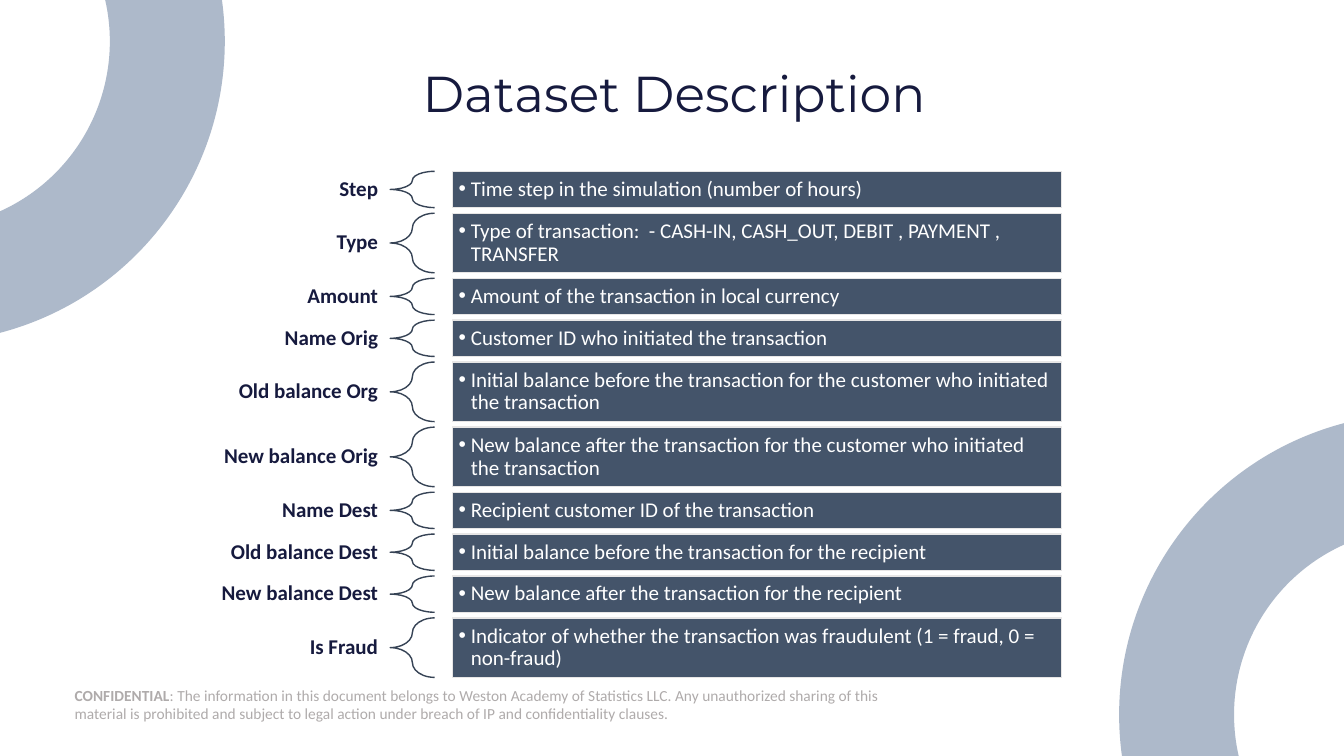
from dataclasses import dataclass
from math import acos, asin, cos, sin, tan

from lxml import etree
from pptx import Presentation
from pptx.dml.color import RGBColor
from pptx.enum.shapes import MSO_SHAPE
from pptx.enum.text import MSO_ANCHOR, MSO_AUTO_SIZE, PP_ALIGN
from pptx.oxml.ns import qn
from pptx.util import Inches, Pt

RECTANGLE, BRACE = MSO_SHAPE.RECTANGLE, MSO_SHAPE.LEFT_BRACE
MIDDLE, NO_FIT = MSO_ANCHOR.MIDDLE, MSO_AUTO_SIZE.NONE
LEFT, CENTER, RIGHT = PP_ALIGN.LEFT, PP_ALIGN.CENTER, PP_ALIGN.RIGHT
TITLE_ONLY = 5
WIDTH, HEIGHT = 13.33, 7.5


@dataclass(frozen=True)
class Theme:
    """Colours, fonts and type sizes of the deck."""
    navy: str = "161A3E"
    slate: str = "44546A"
    brace: str = "364355"
    ring: str = "ADB9CA"
    border: str = "E7E6E6"
    muted: str = "AFABAB"
    white: str = "FFFFFF"
    heading_font: str = "Montserrat"
    body_font: str = "Calibri"
    bullet_font: str = "Arial"
    title_size: int = 36
    row_size: int = 15
    footer_size: int = 11


THEME = Theme()
FIELDS = [
    ("Step", "Time step in the simulation (number of hours)", 1),
    ("Type", "Type of transaction:  - CASH-IN, CASH_OUT, DEBIT , PAYMENT , TRANSFER", 2),
    ("Amount", "Amount of the transaction in local currency", 1),
    ("Name Orig", "Customer ID who initiated the transaction", 1),
    ("Old balance Org", "Initial balance before the transaction for the customer "
     "who initiated the transaction", 2),
    ("New balance Orig", "New balance after the transaction for the customer "
     "who initiated the transaction", 2),
    ("Name Dest", "Recipient customer ID of the transaction", 1),
    ("Old balance Dest", "Initial balance before the transaction for the recipient", 1),
    ("New balance Dest", "New balance after the transaction for the recipient", 1),
    ("Is Fraud", "Indicator of whether the transaction was fraudulent "
     "(1 = fraud, 0 = non-fraud)", 2),
]
ROW_HEIGHTS = {1: 0.36, 2: 0.59}
CONFIDENTIAL = [
    ("CONFIDENTIAL", True),
    (": The information in this document belongs to Weston Academy of Statistics LLC. "
     "Any unauthorized sharing of this material is prohibited and subject to legal action "
     "under breach of IP and confidentiality clauses.", False),
]


def apply_format(target, values):
    """Set each attribute of the target from a dict of values."""
    for name, value in values.items():
        setattr(target, name, value)


def paint(shape, fill=None, line=None):
    """Give a shape a flat fill and a thin line, or none."""
    shape.shadow.inherit = False
    if fill:
        shape.fill.solid()
        shape.fill.fore_color.rgb = RGBColor.from_string(fill)
    else:
        shape.fill.background()
    if line:
        shape.line.color.rgb = RGBColor.from_string(line)
        shape.line.width = Pt(1)
    else:
        shape.line.fill.background()


def write(shape, spans, size, color, font=THEME.body_font, align=LEFT,
          spacing=1.0, margins=(0, 0)):
    """Write (text, bold) spans as the one paragraph of a shape."""
    across, down = map(Inches, margins)
    frame = shape.text_frame
    apply_format(frame, {
        "word_wrap": True, "auto_size": NO_FIT, "vertical_anchor": MIDDLE,
        "margin_left": across, "margin_right": across,
        "margin_top": down, "margin_bottom": down})
    para = frame.paragraphs[0]
    apply_format(para, {"alignment": align, "line_spacing": spacing})
    for text, bold in spans:
        span = para.add_run()
        span.text = text
        apply_format(span.font, {"name": font, "size": Pt(size), "bold": bold})
        span.font.color.rgb = RGBColor.from_string(color)
    return para


def add_bullet(para, indent):
    """Give a paragraph a round bullet with a hanging indent."""
    para.level = 1
    properties = para._p.get_or_add_pPr()
    properties.set("marL", str(Inches(indent)))
    properties.set("indent", str(-Inches(indent)))
    etree.SubElement(properties, qn("a:buFont")).set("typeface", THEME.bullet_font)
    etree.SubElement(properties, qn("a:buChar")).set("char", "•")


def bend(shape, starts):
    """Turn the three lines from each start index into one curve."""
    lines = list(shape._element.iter(qn("a:lnTo")))
    for start in starts:
        curve = etree.Element(qn("a:cubicBezTo"))
        lines[start].addprevious(curve)
        for line in lines[start:start + 3]:
            curve.append(line[0])
            line.getparent().remove(line)


def add_ring(page, center_x, center_y, edge_x, edge_y, facing):
    """Draw a ring cut off by the two slide edges at its corner."""

    def arc(radius):
        start = -asin(abs(edge_y - center_y) / radius)
        end = acos(abs(edge_x - center_x) / radius)
        places = [(cos(start), sin(start))]
        for first, last in ((start, 0), (0, end)):
            pull = 4 / 3 * tan((last - first) / 4)
            places += [(cos(first) - pull * sin(first), sin(first) + pull * cos(first)),
                       (cos(last) + pull * sin(last), sin(last) - pull * cos(last)),
                       (cos(last), sin(last))]
        return [(Inches(center_x + facing * radius * across),
                 Inches(center_y + facing * radius * down)) for across, down in places]

    points = arc(2.99) + arc(1.85)[::-1]
    builder = page.shapes.build_freeform(*points[0])
    builder.add_line_segments(points[1:], close=True)
    ring = builder.convert_to_shape()
    bend(ring, (0, 3, 7, 10))
    paint(ring, THEME.ring)


def add_title(page, left, top, width, height):
    """Place and fill the title placeholder."""
    title = page.shapes.title
    apply_format(title, {"left": Inches(left), "top": Inches(top),
                         "width": Inches(width), "height": Inches(height)})
    write(title, [("Dataset Description", False)], THEME.title_size, THEME.navy,
          THEME.heading_font, CENTER, margins=(0.1, 0.05))


def add_footer(page, left, top, width, height):
    """Place the confidentiality notice."""
    box = page.shapes.add_shape(RECTANGLE, *map(Inches, (left, top, width, height)))
    paint(box, THEME.white)
    write(box, CONFIDENTIAL, THEME.footer_size, THEME.muted)


def add_field(page, left, top, width, height, name, description):
    """Place one row: a field name, a brace and its description."""
    label_width, label_height, brace_width, gap = 2.22, 0.32, 0.44, 0.18
    label = page.shapes.add_textbox(
        Inches(left), Inches(top + (height - label_height) / 2),
        Inches(label_width), Inches(label_height))
    write(label, [(name, True)], THEME.row_size, THEME.navy, align=RIGHT,
          spacing=0.9, margins=(0.12, 0.04))

    brace = page.shapes.add_shape(
        BRACE, Inches(left + label_width), Inches(top), Inches(brace_width), Inches(height))
    brace.adjustments[0] = 0.35
    paint(brace, line=THEME.brace)

    offset = label_width + brace_width + gap
    box = page.shapes.add_shape(
        RECTANGLE, Inches(left + offset), Inches(top), Inches(width - offset), Inches(height))
    paint(box, THEME.slate, THEME.border)
    para = write(box, [(description, False)], THEME.row_size, THEME.white,
                 spacing=0.9, margins=(0.06, 0.06))
    add_bullet(para, 0.12)


def add_fields(page, left, top, width, height):
    """Stack the field rows with equal gaps to fill the box."""
    heights = [ROW_HEIGHTS[lines] for _, _, lines in FIELDS]
    gap = (height - sum(heights)) / (len(FIELDS) - 1)
    for (name, description, _), row_height in zip(FIELDS, heights):
        add_field(page, left, top, width, row_height, name, description)
        top += row_height + gap


def main():
    """Build the deck and save it."""
    deck = Presentation()
    apply_format(deck, {"slide_width": Inches(WIDTH), "slide_height": Inches(HEIGHT)})
    page = deck.slides.add_slide(deck.slide_layouts[TITLE_ONLY])
    add_footer(page, 0.74, 6.79, 8.17, 0.4)
    add_ring(page, WIDTH + 0.76, HEIGHT - 0.41, WIDTH, HEIGHT, -1)
    add_ring(page, -0.76, 0.41, 0, 0, 1)
    add_title(page, 0.02, 0.56, WIDTH, 0.71)
    add_fields(page, 1.65, 1.7, 8.88, 5.02)
    deck.save("out.pptx")


if __name__ == "__main__":
    main()
